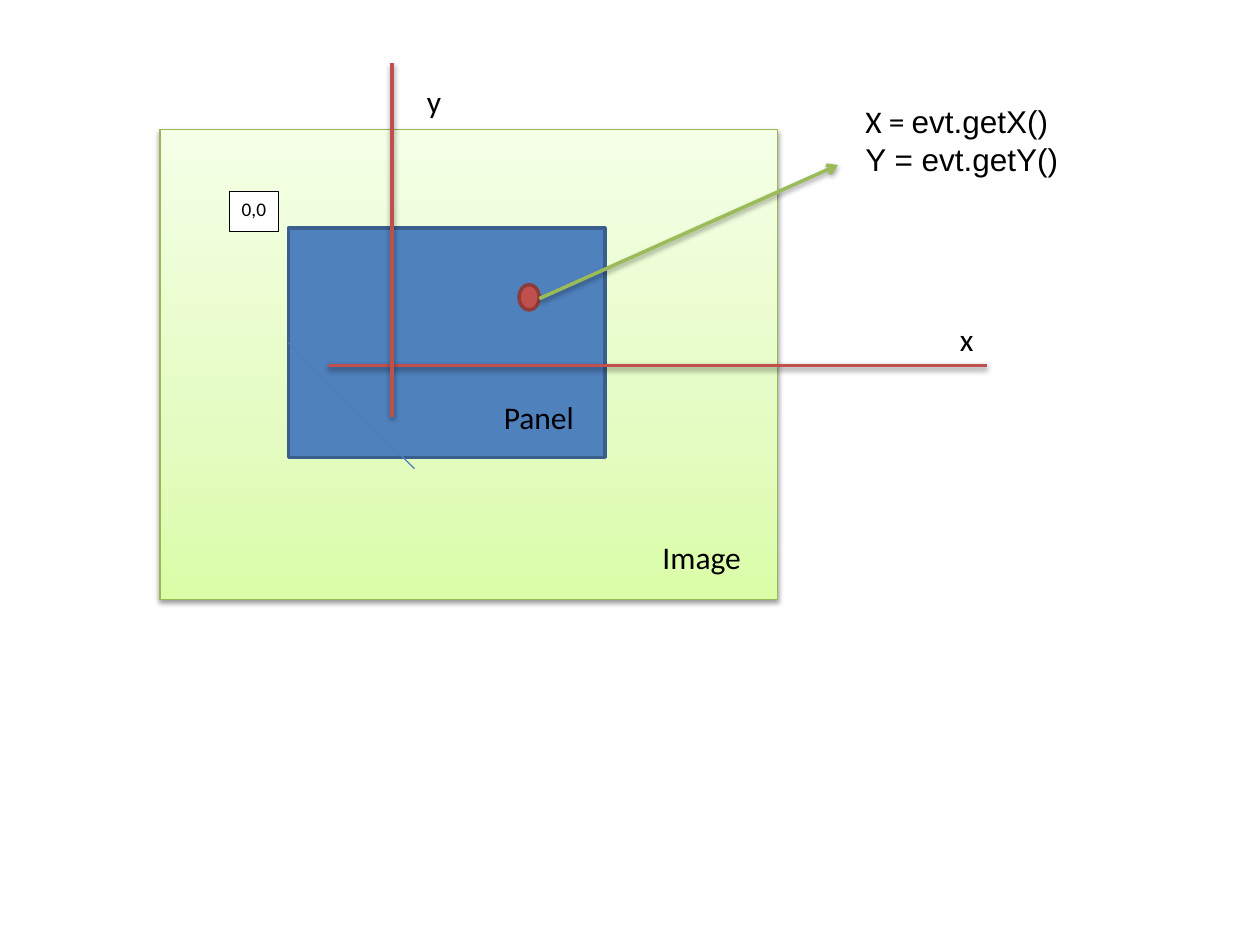
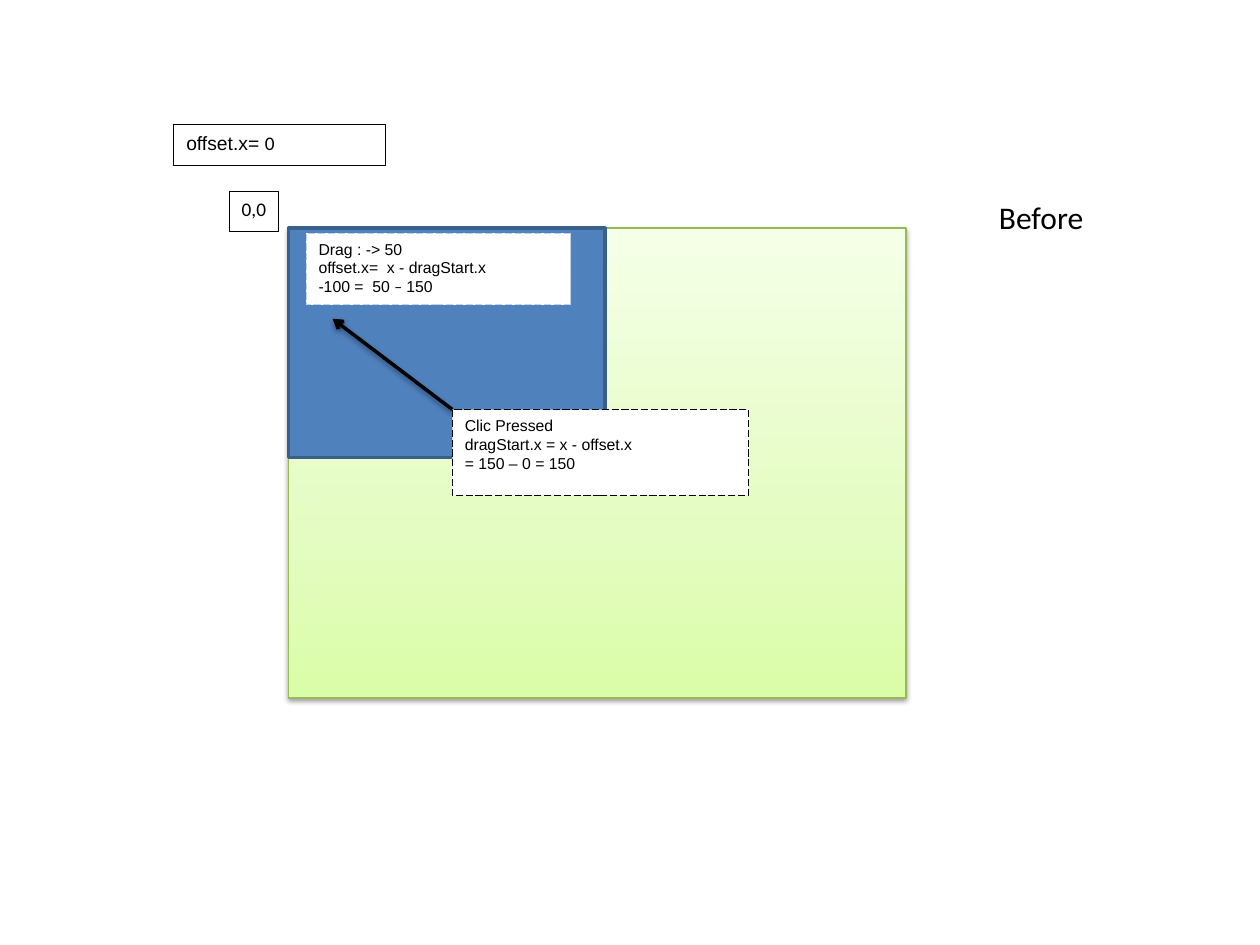
import pptx
import pptx.util
import pptx.dml.color
import pptx.enum.dml
import pptx.enum.shapes
import pptx.enum.text
import pptx.oxml.ns
from lxml import etree

Inches, Pt = pptx.util.Inches, pptx.util.Pt
RGB = pptx.dml.color.RGBColor
SHAPE = pptx.enum.shapes.MSO_SHAPE
AUTO_SIZE = pptx.enum.text.MSO_AUTO_SIZE
qn = pptx.oxml.ns.qn

BLACK, WHITE = RGB(0, 0, 0), RGB(255, 255, 255)
BLUE, DARK_BLUE = RGB(0x4F, 0x81, 0xBD), RGB(0x3A, 0x5F, 0x8C)
THIN_BLUE, PALE_BLUE = RGB(0x4B, 0x7E, 0xBC), RGB(0xC2, 0xD1, 0xED)
RED, DARK_RED = RGB(0xC0, 0x50, 0x4D), RGB(0x8E, 0x3B, 0x39)
GREEN, IMAGE_EDGE = RGB(0x9B, 0xBB, 0x59), RGB(0x98, 0xB9, 0x55)
IMAGE_STOPS = [(0, RGB(0xDA, 0xFD, 0xA7)), (35, RGB(0xE4, 0xFC, 0xC2)),
               (100, RGB(0xF5, 0xFF, 0xE7))]
SANS, BODY = "Arial", "Calibri"

# Lengths in inches
SLIDE_SIZE = (10, 7.5)
PANEL_CORNER, PANEL_SIZE = (2.29, 1.81), (2.51, 1.82)
IMAGE_SIZE = (4.9, 3.73)
ORIGIN_TAG = (1.82, 1.52, 0.39, 0.32)
LABEL_HEIGHT = 0.4
AXIS_X, AXIS_Y = 3.11, 2.9
DOT = (4.12, 2.26, 0.16, 0.2)
PRESS_CORNER = (3.59, 3.25)

# A line of text is a list of (words, font) spans
IMAGE_CORNERS = [(1.27, 1.03), PANEL_CORNER]
LABELS = [
    [("Image", 5.16, 4.22, 0.83), ("Panel", 3.9, 3.11, 0.76),
     ("x", 7.52, 2.49, 0.31), ("y", 3.29, 0.6, 0.32)],
    [("Before", 7.83, 1.52, 0.88)],
]
EVENT_LINES = [[("X = ", BODY), ("evt.getX() ", SANS)], [("Y = evt.getY() ", SANS)]]
PRESS_LINES = [[("Clic Pressed ", SANS)], [("dragStart.x = x - offset.x", SANS)],
               [("= 150 – 0 = 150", SANS)]]
DRAG_LINES = [[("Drag\u00a0: -> 50", SANS)], [("offset.x=  x - dragStart.x ", SANS)],
              [("-100 =  50 ", SANS), ("–", BODY), (" 150", SANS)]]
OFFSET_LINES = [[("offset.x= ", SANS), ("0", BODY)]]


def add_shadow(effects):
    """Put the soft downward shadow in an effect list."""
    shadow = etree.SubElement(effects, qn("a:outerShdw"), blurRad=str(Pt(3.1)),
                              dist=str(Pt(1.6)), dir="5400000", rotWithShape="0")
    color = etree.SubElement(shadow, qn("a:srgbClr"), val="000000")
    etree.SubElement(color, qn("a:alpha"), val="38000")


def add_box(page, kind, place, fill, edge, width, dashed=False):
    """Draw a flat filled shape with an outline."""
    box = page.shapes.add_shape(kind, *map(Inches, place))
    box.shadow.inherit = False
    if fill is not None:
        box.fill.solid()
        box.fill.fore_color.rgb = fill
    box.line.color.rgb = edge
    box.line.width = Pt(width)
    if dashed:
        box.line.dash_style = pptx.enum.dml.MSO_LINE.LONG_DASH
    return box


def write(box, lines, size, wrap=False):
    """Write lines of spans from the top left of a shape."""
    frame = box.text_frame
    frame.word_wrap = wrap
    frame.vertical_anchor = pptx.enum.text.MSO_ANCHOR.TOP
    for number, spans in enumerate(lines):
        para = frame.paragraphs[0] if number == 0 else frame.add_paragraph()
        para.alignment = pptx.enum.text.PP_ALIGN.LEFT
        para.font.size = Pt(size)
        para.font.color.rgb = BLACK
        for words, font in spans:
            span = para.add_run()
            span.text = words
            span.font.name = font
            span.font.size = Pt(size)
            span.font.color.rgb = BLACK


def add_text(page, place, lines):
    """Add a free text box that grows with its words."""
    box = page.shapes.add_textbox(*map(Inches, place))
    write(box, lines, 18)
    box.text_frame.auto_size = AUTO_SIZE.SHAPE_TO_FIT_TEXT


def add_note(page, place, lines, size, edge=BLACK, dashed=False):
    """Add a white outlined note; dashed notes wrap their text."""
    box = add_box(page, SHAPE.RECTANGLE, place, WHITE, edge, 0.5, dashed)
    write(box, lines, size, wrap=dashed)


def add_line(page, start, end, color, width=2, arrow=False, shadow=True):
    """Draw a straight line, with an optional arrowhead and shadow."""
    line = page.shapes.add_connector(pptx.enum.shapes.MSO_CONNECTOR.STRAIGHT,
                                     *map(Inches, start + end))
    line.line.color.rgb = color
    line.line.width = Pt(width)
    properties = line._element.spPr
    if arrow:
        etree.SubElement(properties.find(qn("a:ln")), qn("a:tailEnd"), type="arrow")
    effects = etree.SubElement(properties, qn("a:effectLst"))
    if shadow:
        add_shadow(effects)


def add_image_area(page, corner):
    """Draw the green gradient area that stands for the image."""
    area = add_box(page, SHAPE.RECTANGLE, corner + IMAGE_SIZE, None, IMAGE_EDGE, 0.75)
    area.fill.gradient()
    area.fill.gradient_angle = 90
    properties = area._element.spPr
    stops = properties.find(qn("a:gradFill")).find(qn("a:gsLst"))
    for stop in list(stops):
        stops.remove(stop)
    for share, color in IMAGE_STOPS:
        stop = etree.SubElement(stops, qn("a:gs"), pos=str(share * 1000))
        etree.SubElement(stop, qn("a:srgbClr"), val=str(color))
    add_shadow(properties.find(qn("a:effectLst")))


def add_scene(deck, image_corner, labels):
    """Start a slide with the image, panel, origin tag and labels."""
    page = deck.slides.add_slide(deck.slide_layouts[6])
    add_image_area(page, image_corner)
    add_box(page, SHAPE.RECTANGLE, PANEL_CORNER + PANEL_SIZE, BLUE, DARK_BLUE, 2)
    add_note(page, ORIGIN_TAG, [[("0,0", BODY)]], 11)
    for words, left, top, width in labels:
        add_text(page, (left, top, width, LABEL_HEIGHT), [[(words, BODY)]])
    return page


def add_axes(page):
    """Add the axes, the clicked dot and the event it reports."""
    left, top = PANEL_CORNER[0], PANEL_CORNER[1] + PANEL_SIZE[1] / 2
    add_line(page, (left, top), (left + 1, top + 1), THIN_BLUE, 0.75, shadow=False)
    add_line(page, (7.83, AXIS_Y), (2.6, AXIS_Y), RED)
    add_line(page, (AXIS_X, 0.5), (AXIS_X, 3.31), RED)
    add_text(page, (6.77, 0.76, 1.82, 0.71), EVENT_LINES)
    add_box(page, SHAPE.OVAL, DOT, RED, DARK_RED, 2)
    add_line(page, (DOT[0] + DOT[2], 2.37), (6.65, 1.31), GREEN, arrow=True)


def add_drag(page):
    """Add the drag arrow and the notes on its two ends."""
    add_line(page, PRESS_CORNER, (2.64, 2.53), BLACK, arrow=True)
    add_note(page, PRESS_CORNER + (2.35, 0.68), PRESS_LINES, 9, dashed=True)
    add_note(page, (2.43, 1.85, 2.1, 0.57), DRAG_LINES, 9, PALE_BLUE, dashed=True)
    add_note(page, (1.38, 0.99, 1.68, 0.32), OFFSET_LINES, 11)


deck = pptx.Presentation()
deck.slide_width, deck.slide_height = map(Inches, SLIDE_SIZE)
for corner, labels, add_details in zip(IMAGE_CORNERS, LABELS, (add_axes, add_drag)):
    add_details(add_scene(deck, corner, labels))
deck.save("out.pptx")
